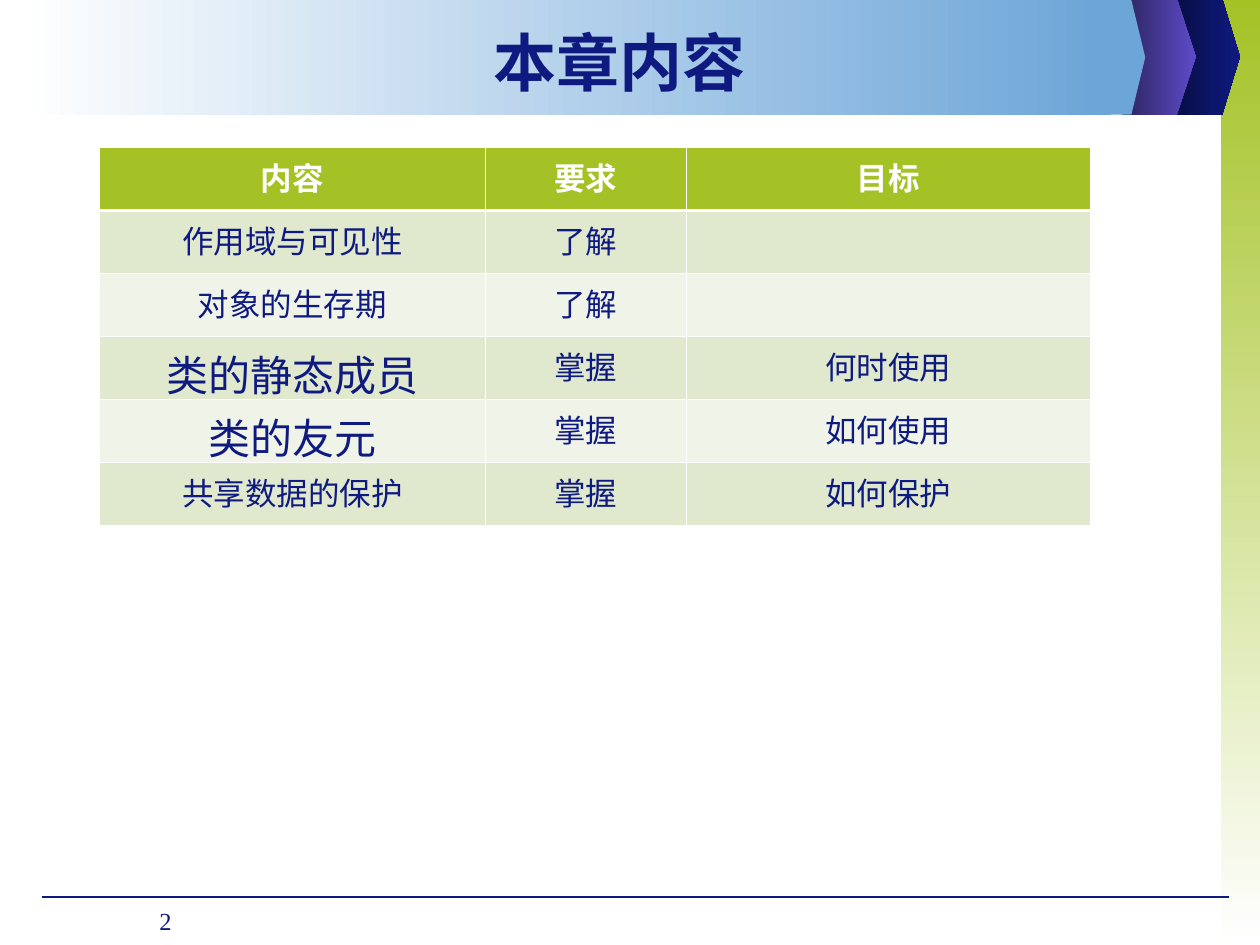
from lxml.etree import SubElement
from pptx import Presentation
from pptx.dml.color import RGBColor
from pptx.enum.text import MSO_ANCHOR, PP_ALIGN
from pptx.enum.shapes import MSO_CONNECTOR, MSO_SHAPE
from pptx.oxml.ns import qn
from pptx.util import Inches, Pt

NAVY, GREEN, BLUE, WHITE = "0F1A81", "A4C226", "6CA5D8", "FFFFFF"
HEADING_FONT, NUMBER_FONT = "Noto Sans CJK SC", "Times New Roman"


def paint(shape, colors, angle=0):
    """Fill with one colour or a two-colour gradient, without line or shadow."""
    shape.shadow.inherit = False
    shape.line.fill.background()
    if len(colors) == 1:
        shape.fill.solid()
        shape.fill.fore_color.rgb = RGBColor.from_string(colors[0])
        return
    shape.fill.gradient()
    shape.fill.gradient_angle = angle
    for stop, color in zip(shape.fill.gradient_stops, colors):
        stop.color.rgb = RGBColor.from_string(color)


def write(frame, text, align, color=NAVY, **format_values):
    frame.word_wrap = True
    paragraph = frame.paragraphs[0]
    paragraph.alignment = align
    span = paragraph.add_run()
    span.text = text
    for name, value in format_values.items():
        setattr(span.font, name, value)
    span.font.color.rgb = RGBColor.from_string(color)
    SubElement(span._r.get_or_add_rPr(), qn("a:ea"), typeface=span.font.name)


deck = Presentation()
deck.slide_width, deck.slide_height = Inches(10), Inches(7.5)
page = deck.slides.add_slide(deck.slide_layouts[6])
shapes = page.shapes

# Side band, chevrons, footer rule and title band
side_band = shapes.add_shape(MSO_SHAPE.RECTANGLE, Inches(9.69), 0, Inches(0.31), Inches(7.5))
paint(side_band, [GREEN, WHITE], 270)

arrows = [
    # left, shoulder, tip, top, colours
    (9.25, 9.7, 9.84, -0.01, ["070C3C", NAVY]),
    (8.9, 9.34, 9.49, -0.01, ["2B235C", "5D4BC7"]),
    (8.63, 8.98, 9.09, 0, [BLUE]),
]
for left, shoulder, tip, top, colors in arrows:
    if colors == [BLUE]:
        rule = shapes.add_connector(
            MSO_CONNECTOR.STRAIGHT, Inches(0.33), Inches(7.12), Inches(9.75), Inches(7.12))
        rule.line.color.rgb = RGBColor.from_string(NAVY)
        rule.line.width = Pt(0.75)
        SubElement(rule._element.spPr, qn("a:effectLst"))
        title_band = shapes.add_shape(
            MSO_SHAPE.RECTANGLE, Inches(0.12), 0, Inches(8.7), Inches(0.91))
        paint(title_band, [WHITE, BLUE])
    outline = shapes.build_freeform(Inches(left), Inches(top))
    corners = [(shoulder, top), (tip, (top + 0.91) / 2), (shoulder, 0.91), (left, 0.91)]
    outline.add_line_segments([(Inches(x), Inches(y)) for x, y in corners])
    paint(outline.convert_to_shape(), colors)

# Page number and title
number_box = shapes.add_textbox(Inches(0.67), Inches(7.14), Inches(0.79), Inches(0.36))
write(number_box.text_frame, "2", PP_ALIGN.RIGHT, name=NUMBER_FONT, size=Pt(14))

title_box = shapes.add_textbox(Inches(0.9), Inches(0.14), Inches(8.03), Inches(0.69))
title_box.text_frame.vertical_anchor = MSO_ANCHOR.MIDDLE
write(title_box.text_frame, "本章内容", PP_ALIGN.CENTER,
      name=HEADING_FONT, size=Pt(36), bold=True)

# Chapter contents
rows = [
    ("内容", "要求", "目标"),
    ("作用域与可见性", "了解", ""),
    ("对象的生存期", "了解", ""),
    ("类的静态成员", "掌握", "何时使用"),
    ("类的友元", "掌握", "如何使用"),
    ("共享数据的保护", "掌握", "如何保护"),
]
key_topics = {"类的静态成员", "类的友元"}
table = shapes.add_table(
    len(rows), 3, Inches(0.79), Inches(1.17), Inches(7.86), Inches(3)).table
for column, width in zip(table.columns, (3.06, 1.6, 3.2)):
    column.width = Inches(width)

for r, row in enumerate(rows):
    header = r == 0
    row_fill = GREEN if header else ("F0F4E8", "E0E9CD")[r % 2]
    for c, text in enumerate(row):
        cell = table.cell(r, c)
        properties = cell._tc.get_or_add_tcPr()
        for side in "LRTB":
            thick = (r, side) in {(0, "B"), (1, "T")}
            border = SubElement(properties, qn(f"a:ln{side}"), w=str(Pt(1.47 if thick else 0.45)))
            border_fill = SubElement(border, qn("a:solidFill"))
            SubElement(border_fill, qn("a:srgbClr"), val=WHITE)
        cell.fill.solid()
        cell.fill.fore_color.rgb = RGBColor.from_string(row_fill)
        if text:
            write(cell.text_frame, text, PP_ALIGN.CENTER, WHITE if header else NAVY,
                  name=HEADING_FONT, size=Pt(24 if text in key_topics else 18), bold=header)

deck.save("out.pptx")
